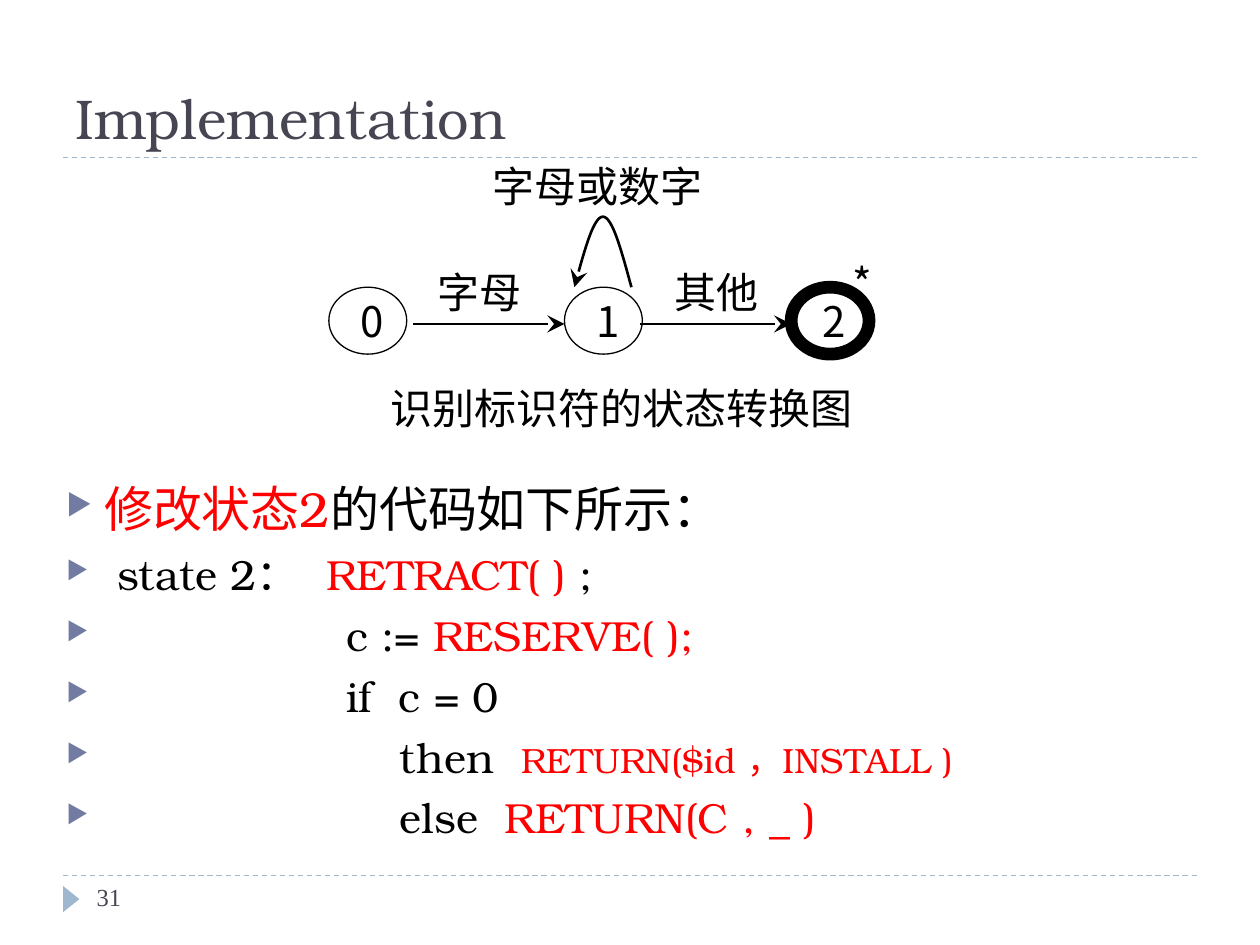
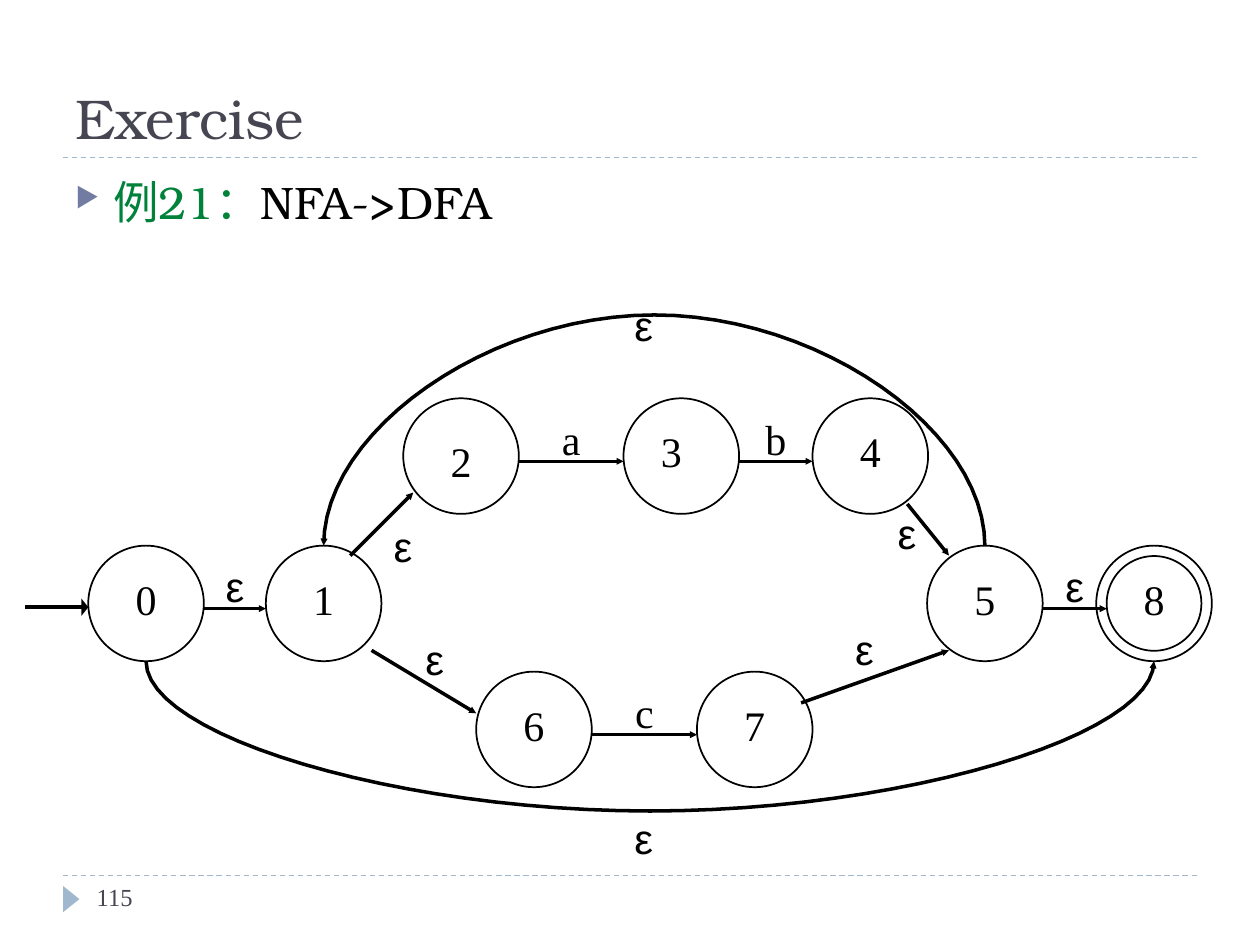
from lxml.etree import SubElement
from pptx import Presentation
from pptx.dml.color import RGBColor
from pptx.enum.dml import MSO_LINE
from pptx.enum.shapes import MSO_CONNECTOR, MSO_SHAPE
from pptx.enum.text import MSO_ANCHOR as Anchor, PP_ALIGN as Align
from pptx.oxml.ns import qn
from pptx.util import Cm, Pt

BLACK, RED, GREEN = "000000", "FF0000", "00823B"
SLATE, BULLET, RULE = "464653", "727CA3", "9FB8CD"
SERIF, CJK, ROMAN, SANS = "TeX Gyre Bonum", "Noto Sans CJK SC", "Times New Roman", "Arial"

# Lengths below are in centimetres. Spans are (text, size, colour).
RETRACT_CODE = [
    [("修改状态2", 28, RED), ("的代码如下所示：", 28, BLACK)],
    [(" state 2：   ", 24, BLACK), ("RETRACT( )", 24, RED), (" ;", 24, BLACK)],
    [("                  c := ", 24, BLACK), ("RESERVE( );", 24, RED)],
    [("                  if  c = 0", 24, BLACK)],
    [("                      then  ", 24, BLACK), ("RETURN($id ，INSTALL )", 20, RED)],
    [("                      else  ", 24, BLACK), ("RETURN(C , _ )", 24, RED)],
]
EXERCISE_TEXT = [[("例21：", 26, GREEN), ("NFA->DFA", 26, BLACK)]]

# Identifier recogniser: state name, left, outline width
IDENTIFIER_STATES = [("0", 6.63, 0.75), ("1", 11.38, 0.75), ("2", 15.95, 7.25)]
IDENTIFIER_ARROWS = [(8.33, 11.38), (12.9, 15.95)]
IDENTIFIER_LABELS = [
    ("字母", (8.66, 5.26, 2, 1.24)),
    ("其他", (13.44, 5.26, 2, 1.24)),
    ("字母或数字", (9.75, 3.12, 4.6, 1.24)),
    ("识别标识符的状态转换图", (7.63, 7.59, 9.8, 1.24)),
    ("*", (16.71, 5.26, 1.35, 0.89)),
]

# NFA: left and top of each state
TOP, MIDDLE, BOTTOM = 8.03, 11, 13.54
DIAMETER, RING_GAP, LABEL_SIZE = 2.33, 0.21, 1.27
NFA_STATES = {
    "0": (1.78, MIDDLE), "1": (5.36, MIDDLE), "2": (8.13, TOP),
    "3": (12.57, TOP), "4": (16.38, TOP), "5": (18.69, MIDDLE),
    "6": (9.6, BOTTOM), "7": (14.05, BOTTOM), "8": (22.1, MIDDLE),
}
NAME_NUDGES = {"2": (0, 0.2), "3": (-0.2, 0)}
ROW_STEPS = [("0", "1", "ε"), ("2", "3", "a"), ("3", "4", "b"), ("6", "7", "c"), ("5", "8", "ε")]
# Start, end, left top of the label
SLANTED_STEPS = [
    ((18.29, 10.16), (19.13, 11.2), (17.65, 10.11)),
    ((7.06, 11.2), (8.33, 9.93), (7.49, 10.36)),
    ((7.49, 13.11), (9.6, 14.38), (8.13, 12.65)),
    ((16.15, 14.17), (19.13, 13.11), (16.79, 12.45)),
]
# Start state, end state, y of the ends, depth, left top of the label
ARCHES = [
    ("0", "8", MIDDLE + DIAMETER, 3.02, (12.34, 16.26)),
    ("5", "1", MIDDLE, -4.65, (12.34, 5.92)),
]
SMALL_HEAD, START_HEAD = ("triangle", "sm", "sm"), ("triangle", "lg", "sm")
STEALTH_HEAD = ("stealth", "lg", "lg")


def rgb(colour):
    return RGBColor.from_string(colour)


def lengths(values):
    return [Cm(value) for value in values]


def add_child(parent, tag, **attributes):
    return SubElement(parent, qn(tag), attributes)


def set_font(para, name, size, colour):
    para.font.name, para.font.size = name, Pt(size)
    para.font.color.rgb = rgb(colour)
    add_child(para._p.pPr.find(qn("a:defRPr")), "a:ea", typeface=CJK)


def style_line(shape, width, colour=BLACK, head=None):
    shape.line.color.rgb = rgb(colour)
    shape.line.width = Pt(width)
    if head:
        kind, breadth, length = head
        add_child(shape._element.spPr.get_or_add_ln(), "a:tailEnd", type=kind, w=breadth, len=length)


def add_line(slide, start, end, width, colour=BLACK, head=None):
    line = slide.shapes.add_connector(MSO_CONNECTOR.STRAIGHT, *lengths(start + end))
    style_line(line, width, colour, head)
    add_child(line._element.spPr, "a:effectLst")
    return line


def add_text(slide, text, place, name, size, colour=BLACK, align=Align.CENTER, anchor=Anchor.TOP):
    """Add one line of text; centred text gets the full width of its box."""
    frame = slide.shapes.add_textbox(*lengths(place)).text_frame
    frame.word_wrap = True
    frame.vertical_anchor = anchor
    if align == Align.CENTER:
        frame.margin_left = frame.margin_right = 0
    para = frame.paragraphs[0]
    para.text, para.alignment = text, align
    set_font(para, name, size, colour)


def add_ellipse(slide, place, width):
    ellipse = slide.shapes.add_shape(MSO_SHAPE.OVAL, *lengths(place))
    ellipse.shadow.inherit = False
    ellipse.fill.background()
    style_line(ellipse, width)
    return ellipse


def bezier_point(corners, t):
    weights = ((1 - t) ** 3, 3 * t * (1 - t) ** 2, 3 * t ** 2 * (1 - t), t ** 3)
    return tuple(sum(w * corner[axis] for w, corner in zip(weights, corners)) for axis in (0, 1))


def add_arch(slide, start_x, end_x, y, depth, width, head, lean=0, shoulder=0.25):
    """Draw a symmetric arch; lean and shoulder place its control points across the span."""
    span = end_x - start_x
    rising = [(0, 0), (lean, 0.5), (shoulder, 1), (0.5, 1)]
    falling = [(1 - across, down) for across, down in reversed(rising)]
    points = []
    for half in (rising, falling):
        corners = [(Cm(start_x + across * span), Cm(y + down * depth)) for across, down in half]
        points += [bezier_point(corners, step / 24) for step in range(1, 25)]
    builder = slide.shapes.build_freeform(Cm(start_x), Cm(y))
    builder.add_line_segments(points, close=False)
    arch = builder.convert_to_shape()
    arch.shadow.inherit = False
    arch.fill.background()
    style_line(arch, width, head=head)


def add_bullets(slide, place, paragraphs):
    frame = slide.shapes.add_textbox(*lengths(place)).text_frame
    frame.word_wrap = True
    for index, spans in enumerate(paragraphs):
        para = frame.add_paragraph() if index else frame.paragraphs[0]
        properties = para._p.get_or_add_pPr()
        properties.set("marL", str(Cm(0.76)))
        properties.set("indent", str(-Cm(0.76)))
        add_child(add_child(properties, "a:buClr"), "a:srgbClr", val=BULLET)
        add_child(properties, "a:buSzPct", val="60000")
        add_child(properties, "a:buChar", char="▶")
        para.space_before = Pt(6 if index else 0)
        set_font(para, SERIF, spans[0][1], BLACK)
        for text, size, colour in spans:
            span = para.add_run()
            span.text, span.font.size = text, Pt(size)
            span.font.color.rgb = rgb(colour)


def add_page(deck, title, number):
    slide = deck.slides.add_slide(deck.slide_layouts[5])
    for y in (17.65, 3.18):
        add_line(slide, (1.27, y), (24.13, y), 0.75, RULE).line.dash_style = MSO_LINE.DASH
    marker = slide.shapes.add_shape(MSO_SHAPE.ISOSCELES_TRIANGLE, *lengths((1.17, 17.96, 0.53, 0.33)))
    marker.rotation = 90
    marker.shadow.inherit = False
    marker.fill.solid()
    marker.fill.fore_color.rgb = rgb(RULE)
    marker.line.fill.background()

    heading = slide.shapes.title
    heading.left, heading.top, heading.width, heading.height = lengths((1.27, 0.43, 22.86, 2.74))
    heading.text_frame.vertical_anchor = Anchor.BOTTOM
    para = heading.text_frame.paragraphs[0]
    para.text, para.alignment = title, Align.LEFT
    set_font(para, SERIF, 32, SLATE)
    add_text(slide, number, (1.7, 17.65, 5.51, 1.02), ROMAN, 14, SLATE, Align.LEFT)
    return slide


def build_implementation(deck):
    slide = add_page(deck, "Implementation", "31")
    add_bullets(slide, (1.09, 9.53, 22.86, 8), RETRACT_CODE)
    for name, left, width in IDENTIFIER_STATES:
        frame = add_ellipse(slide, (left, 5.79, 1.57, 1.35), width).text_frame
        frame.margin_left = Cm(0.41)
        frame.margin_right = frame.margin_top = frame.margin_bottom = 0
        frame.vertical_anchor = Anchor.MIDDLE
        para = frame.paragraphs[0]
        para.text, para.alignment = name, Align.LEFT
        set_font(para, CJK, 24, BLACK)
    add_arch(slide, 12.73, 11.58, 5.79, -1.42, 1.5, STEALTH_HEAD, lean=0.17, shoulder=0.33)
    for start, end in IDENTIFIER_ARROWS:
        add_line(slide, (start, 6.53), (end, 6.53), 1.5, head=STEALTH_HEAD)
    for text, place in IDENTIFIER_LABELS:
        add_text(slide, text, place, CJK, 24, anchor=Anchor.MIDDLE)


def add_step_label(slide, text, corner):
    add_text(slide, text, (*corner, LABEL_SIZE, LABEL_SIZE), SANS if text == "ε" else ROMAN, 24)


def build_exercise(deck):
    slide = add_page(deck, "Exercise", "115")
    add_bullets(slide, (1.27, 3.38, 22.86, 13.72), EXERCISE_TEXT)

    for name, (left, top) in NFA_STATES.items():
        add_ellipse(slide, (left, top, DIAMETER, DIAMETER), 1)
        across, down = NAME_NUDGES.get(name, (0, 0))
        add_text(slide, name, (left + 0.43 + across, top + 0.43 + down, 1.47, 1.27), ROMAN, 24)
    left, top = NFA_STATES["8"]
    inner = DIAMETER - 2 * RING_GAP
    add_ellipse(slide, (left + RING_GAP, top + RING_GAP, inner, inner), 1)

    for source, target, text in ROW_STEPS:
        left, top = NFA_STATES[source]
        start = left + DIAMETER
        end = NFA_STATES[target][0] + (RING_GAP if target == "8" else 0)
        add_line(slide, (start, top + 1.27), (end, top + 1.27), 2, head=SMALL_HEAD)
        add_step_label(slide, text, ((start + end - LABEL_SIZE) / 2, top + 0.18))
    for start, end, corner in SLANTED_STEPS:
        add_line(slide, start, end, 2, head=SMALL_HEAD)
        add_step_label(slide, "ε", corner)
    for source, target, y, depth, corner in ARCHES:
        start, end = (NFA_STATES[name][0] + DIAMETER / 2 for name in (source, target))
        add_arch(slide, start, end, y, depth, 2, SMALL_HEAD)
        add_step_label(slide, "ε", corner)
    add_line(slide, (0.51, 12.24), (1.78, 12.24), 2, head=START_HEAD)


def main():
    deck = Presentation()
    deck.slide_width, deck.slide_height = Cm(25.4), Cm(19.05)
    build_implementation(deck)
    build_exercise(deck)
    deck.save("out.pptx")


if __name__ == "__main__":
    main()
